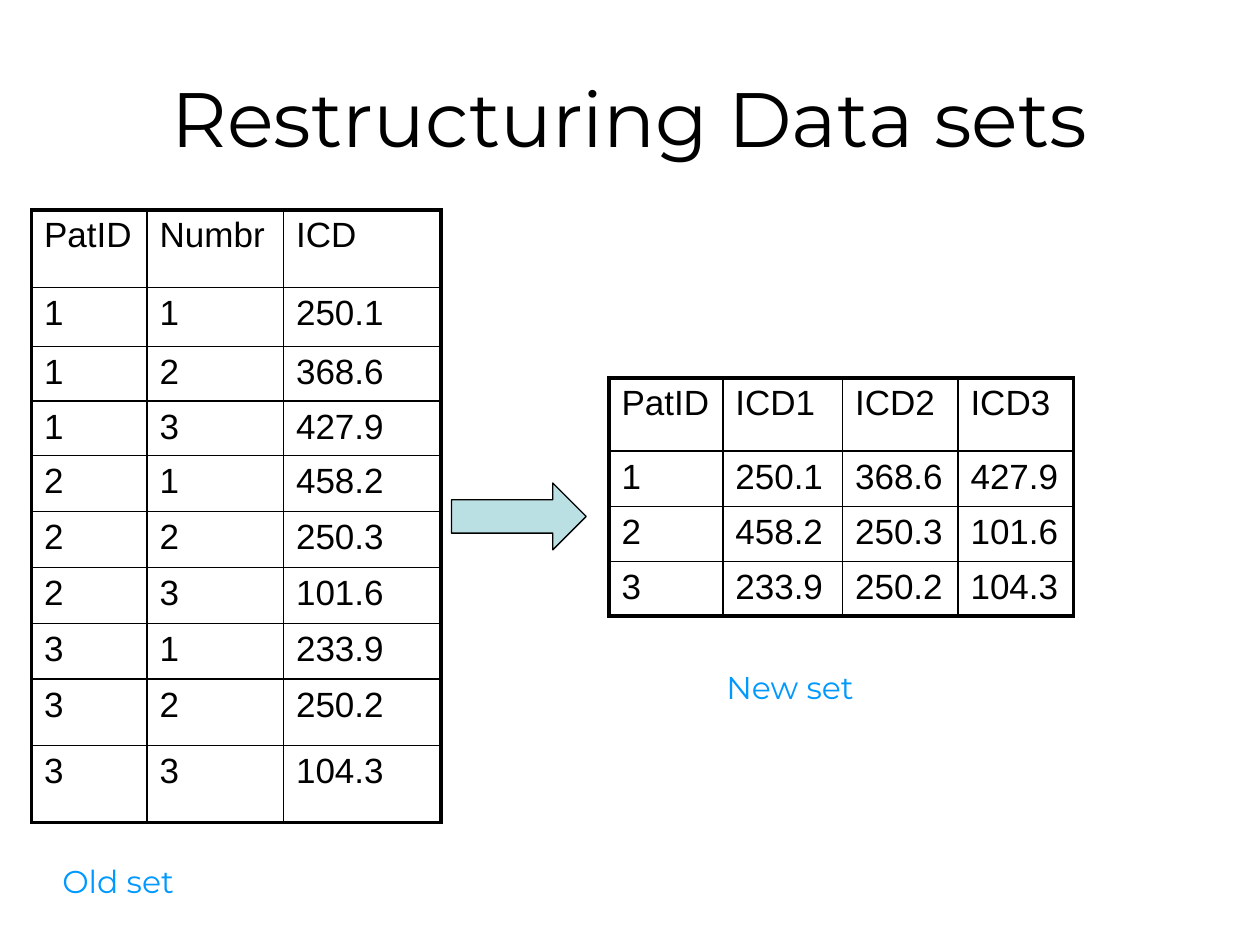
from dataclasses import dataclass
from itertools import groupby
from typing import Sequence

from lxml.etree import SubElement
from pptx import Presentation
from pptx.dml.color import RGBColor
from pptx.enum.shapes import MSO_SHAPE as Preset
from pptx.enum.text import MSO_ANCHOR as Anchor, MSO_AUTO_SIZE as AutoSize, PP_ALIGN as Align
from pptx.oxml.ns import qn
from pptx.util import Pt

COLORS = {"ink": "000000", "label": "0099FF", "arrow": "BBE0E3"}
TITLE_FONT, TABLE_FONT = "Montserrat", "Arial"
OUTER_BORDER, INNER_BORDER = 2.25, 1

OLD_ROWS = [
    ("1", "1", "250.1"), ("1", "2", "368.6"), ("1", "3", "427.9"),
    ("2", "1", "458.2"), ("2", "2", "250.3"), ("2", "3", "101.6"),
    ("3", "1", "233.9"), ("3", "2", "250.2"), ("3", "3", "104.3"),
]
NEW_ROWS = [
    (patient, *(code for _, _, code in rows))
    for patient, rows in groupby(OLD_ROWS, key=lambda row: row[0])
]


@dataclass
class DataSet:
    left: float
    top: float
    column_widths: Sequence[float]
    row_heights: Sequence[float]
    rows: Sequence[Sequence[str]]


@dataclass
class Label:
    text: str
    left: float
    top: float
    width: float
    height: float


DATA_SETS = [
    DataSet(18, 120, (66, 78, 90),
            (44.2, 33.7, 31.4, 31.2, 31.8, 32, 32, 32, 37.8, 44.2),
            [("PatID", "Numbr", "ICD"), *OLD_ROWS]),
    DataSet(348, 216, (65, 68.4, 66, 66), (41.8, 31.8, 31.2, 31.2),
            [("PatID", "ICD1", "ICD2", "ICD3"), *NEW_ROWS]),
]
LABELS = [
    Label("Old set", 28.5, 489, 85, 29),
    Label("New set", 408, 378, 102, 29),
]


def color(name: str) -> RGBColor:
    return RGBColor.from_string(COLORS[name])


def add_run(paragraph, text: str, font_name: str, size: float, color_name: str) -> None:
    run = paragraph.add_run()
    run.text = text
    run.font.name = font_name
    run.font.size = Pt(size)
    run.font.bold = False
    run.font.color.rgb = color(color_name)


def add_border(cell, side: str, width: float) -> None:
    line = SubElement(cell._tc.get_or_add_tcPr(), qn(f"a:ln{side}"), w=str(Pt(width)))
    fill = SubElement(line, qn("a:solidFill"))
    SubElement(fill, qn("a:srgbClr"), val=COLORS["ink"])


def add_data_set(slide, data_set: DataSet) -> None:
    row_count, column_count = len(data_set.rows), len(data_set.column_widths)
    table = slide.shapes.add_table(
        row_count, column_count, Pt(data_set.left), Pt(data_set.top),
        Pt(sum(data_set.column_widths)), Pt(sum(data_set.row_heights))).table
    table.first_row = table.horz_banding = False
    for column, width in zip(table.columns, data_set.column_widths):
        column.width = Pt(width)
    for row, height in zip(table.rows, data_set.row_heights):
        row.height = Pt(height)
    for row_index, values in enumerate(data_set.rows):
        for column_index, value in enumerate(values):
            cell = table.cell(row_index, column_index)
            add_run(cell.text_frame.paragraphs[0], value, TABLE_FONT, 20, "ink")
            outer_sides = {
                "L": column_index == 0,
                "R": column_index == column_count - 1,
                "T": row_index == 0,
                "B": row_index == row_count - 1,
            }
            for side, is_outer in outer_sides.items():
                add_border(cell, side, OUTER_BORDER if is_outer else INNER_BORDER)
            cell.fill.background()


def add_title(slide, text: str) -> None:
    title = slide.shapes.title
    title.left, title.top, title.width, title.height = Pt(36), Pt(21.6), Pt(648), Pt(90)
    title.text_frame.vertical_anchor = Anchor.MIDDLE
    paragraph = title.text_frame.paragraphs[0]
    paragraph.alignment = Align.CENTER
    add_run(paragraph, text, TITLE_FONT, 44, "ink")


def add_arrow(slide) -> None:
    arrow = slide.shapes.add_shape(
        Preset.RIGHT_ARROW, Pt(258), Pt(276), Pt(77), Pt(38.2))
    arrow.shadow.inherit = False
    arrow.fill.solid()
    arrow.fill.fore_color.rgb = color("arrow")
    arrow.line.color.rgb = color("ink")
    arrow.line.width = Pt(0.75)


def add_label(slide, label: Label) -> None:
    box = slide.shapes.add_textbox(
        Pt(label.left), Pt(label.top), Pt(label.width), Pt(label.height))
    box.text_frame.word_wrap = False
    box.text_frame.auto_size = AutoSize.SHAPE_TO_FIT_TEXT
    add_run(box.text_frame.paragraphs[0], label.text, TITLE_FONT, 18, "label")


def main() -> None:
    presentation = Presentation()
    presentation.slide_width, presentation.slide_height = Pt(720), Pt(540)
    slide = presentation.slides.add_slide(presentation.slide_layouts[5])
    add_title(slide, "Restructuring Data sets")
    for data_set in DATA_SETS:
        add_data_set(slide, data_set)
    add_arrow(slide)
    for label in LABELS:
        add_label(slide, label)
    presentation.save("out.pptx")


if __name__ == "__main__":
    main()
